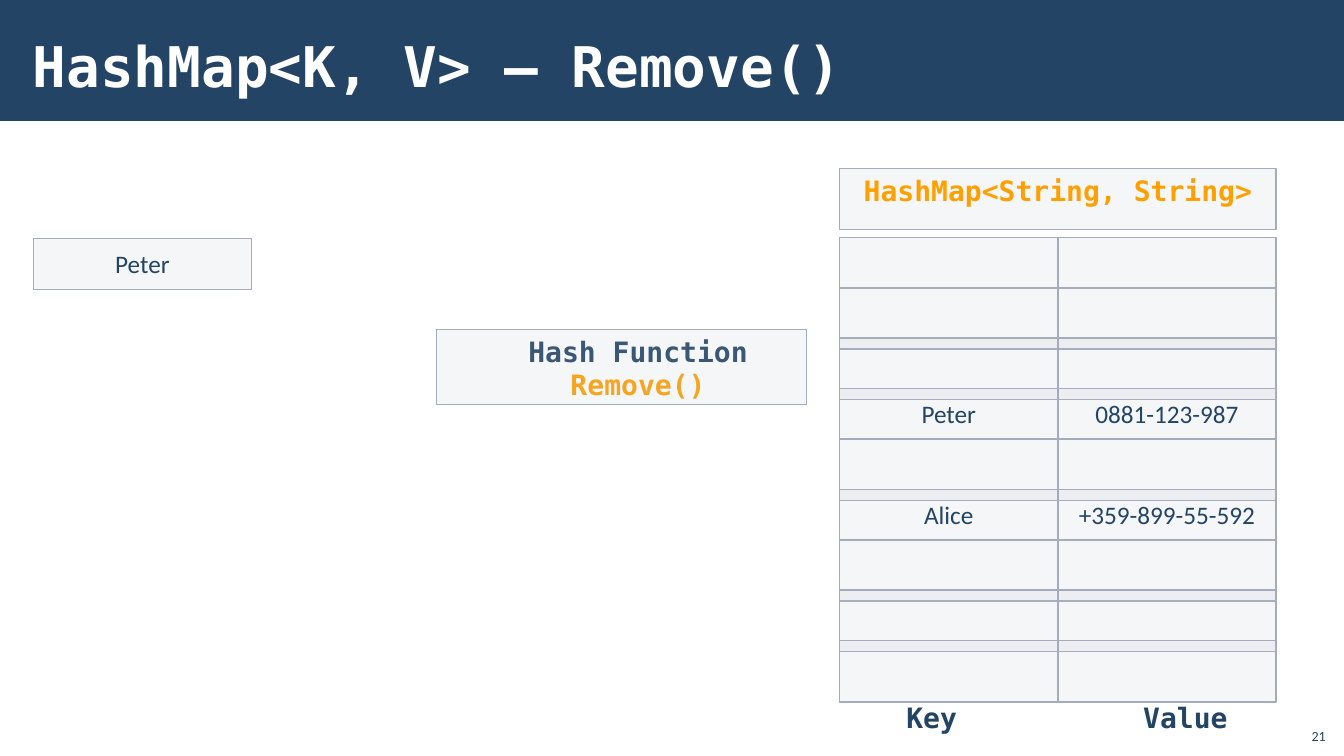
from lxml.etree import SubElement
from pptx import Presentation
from pptx.dml.color import RGBColor as Rgb
from pptx.enum.shapes import MSO_SHAPE as Kind
from pptx.enum.text import MSO_ANCHOR as Anchor, PP_ALIGN as Align
from pptx.oxml.ns import qn
from pptx.util import Cm, Pt

HUES = {"navy": "234465", "gold": "FFA000", "white": "FFFFFF",
        "cell": "C2C7D2", "edge": "A3ABBC"}
MONO, SANS = "DejaVu Sans Mono", "Calibri"
FONTS = {
    "title": {"name": MONO, "size": Pt(40), "bold": True},
    "code": {"name": MONO, "size": Pt(20), "bold": True},
    "cell": {"name": SANS, "size": Pt(18), "bold": False},
    "page": {"name": SANS, "size": Pt(10), "bold": False},
}
INSET = {"margin_left": Cm(0.5), "margin_right": Cm(0.5),
         "margin_top": Cm(0.25), "margin_bottom": Cm(0.25)}
TIGHT = {"margin_left": Cm(0.3), "margin_right": Cm(0.3),
         "margin_top": Cm(0.1), "margin_bottom": Cm(0.1),
         "vertical_anchor": Anchor.MIDDLE}

TITLE = "HashMap<K, V> – Remove()"
TYPE = "HashMap<String, String>"
HASH = [("Hash Function", "navy"), ("Remove()", "gold")]
HEADS = "Key\tValue"
ENTRY = "Peter"
PAGE = "21"
ROWS = [("", ""), ("", ""), ("", ""), ("Peter", "0881-123-987"), ("", ""),
        ("Alice", "+359-899-55-592"), ("", ""), ("", ""), ("", "")]

WIDE, HIGH = 33.87, 19.05
LEFT, TOP, COL, STEP = 21.16, 5.98, 5.5, 1.27
SHORT, TALL = 1.28, 1.55
FLAT = (0, 3, 5)


def put(shape, lines, font, align=Align.CENTER, **frame):
    """Write coloured lines into a shape."""
    text = shape.text_frame
    look = {"word_wrap": True, "vertical_anchor": Anchor.TOP, **frame}
    for name, value in look.items():
        setattr(text, name, value)
    for num, (words, hue) in enumerate(lines):
        para = text.add_paragraph() if num else text.paragraphs[0]
        para.alignment = align
        run = para.add_run()
        run.text = words
        for name, value in FONTS[font].items():
            setattr(run.font, name, value)
        run.font.color.rgb = Rgb.from_string(HUES[hue])


def rect(slide, area, hue):
    """Add a plain filled rectangle without a line."""
    shape = slide.shapes.add_shape(Kind.RECTANGLE, *map(Cm, area))
    shape.shadow.inherit = False
    shape.fill.solid()
    shape.fill.fore_color.rgb = Rgb.from_string(HUES[hue])
    shape.line.fill.background()
    return shape


def cell(slide, area, words=""):
    """Add a pale outlined box, with a word if there is one."""
    shape = rect(slide, area, "cell")
    shape.line.color.rgb = Rgb.from_string(HUES["edge"])
    shape.line.width = Pt(1)
    tint = shape.fill._xPr.find(qn("a:solidFill"))[0]
    SubElement(tint, qn("a:alpha")).set("val", "15000")
    if words:
        put(shape, [(words, "navy")], "cell", **INSET)


def note(slide, area, lines, font, align=Align.CENTER, **frame):
    """Add a text box."""
    box = slide.shapes.add_textbox(*map(Cm, area))
    put(box, lines, font, align, **frame)
    return box


def grid(slide):
    """Draw the table of hash buckets."""
    for row, pair in enumerate(ROWS):
        tall = SHORT if row in FLAT else TALL
        for col, words in enumerate(pair):
            area = LEFT + col * COL, TOP + row * STEP, COL, tall
            cell(slide, area, words)


def heads(slide):
    """Name the two columns under the table."""
    box = note(slide, (LEFT, 17.53, 2 * COL, 1.12), [(HEADS, "navy")],
               "code", Align.LEFT, margin_left=Cm(1.68))
    tabs = SubElement(box.text_frame.paragraphs[0]._p.get_or_add_pPr(),
                      qn("a:tabLst"))
    stop = SubElement(tabs, qn("a:tab"))
    stop.set("pos", str(Cm(5.97)))
    stop.set("algn", "l")


def main():
    """Build and save the slide."""
    deck = Presentation()
    deck.slide_width, deck.slide_height = Cm(WIDE), Cm(HIGH)
    slide = deck.slides.add_slide(deck.slide_layouts[6])
    rect(slide, (0, 0, WIDE, 3.05), "navy")
    cell(slide, (LEFT, 4.24, 2 * COL, TALL))
    grid(slide)
    heads(slide)
    cell(slide, (0.84, 6.01, COL, SHORT), ENTRY)
    note(slide, (LEFT, 4.24, 2 * COL, 1.12), [(TYPE, "gold")], "code")
    note(slide, (0.53, 0.1, 26.6, 3.07), [(TITLE, "white")], "title",
         Align.LEFT, **TIGHT)
    note(slide, (12.27, 8.3, 7.62, 1.95), HASH, "code")
    cell(slide, (11, 8.3, 9.32, 1.9))
    note(slide, (32.64, 18.08, 1.02, 0.81), [(PAGE, "navy")], "page",
         Align.RIGHT, vertical_anchor=Anchor.BOTTOM)
    deck.save("out.pptx")


if __name__ == "__main__":
    main()
